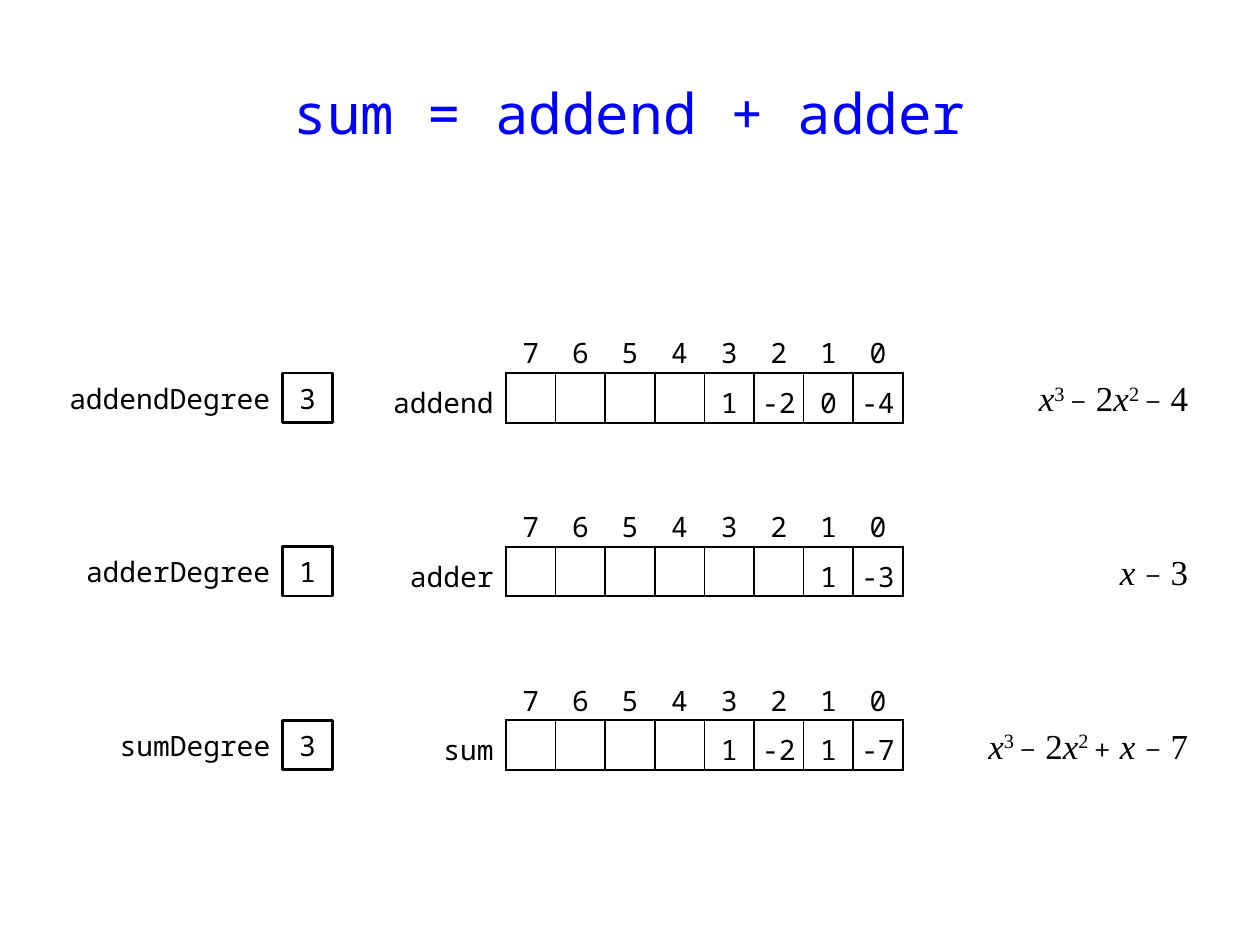
from lxml import etree
from pptx import Presentation
from pptx.dml.color import RGBColor
from pptx.enum.shapes import MSO_SHAPE
from pptx.enum.text import MSO_ANCHOR, PP_ALIGN
from pptx.oxml.ns import qn
from pptx.util import Cm, Pt

RECT = MSO_SHAPE.RECTANGLE
MID = MSO_ANCHOR.MIDDLE
CENTER, RIGHT = PP_ALIGN.CENTER, PP_ALIGN.RIGHT

COLORS = {"ink": "000000", "title": "0000FF", "paper": "FFFFFF"}
# style: font, size, colour, italic, raised by percent
STYLES = {
    "title": ("Noto Sans Mono", 32, "title", False, 0),
    "code": ("Noto Sans Mono", 16, "ink", False, 0),
    "var": ("Times New Roman", 20, "ink", True, 0),
    "num": ("Times New Roman", 20, "ink", False, 0),
    "pow": ("Times New Roman", 20, "ink", False, 30),
    "op": ("Cambria", 18, "ink", False, 0),
}

# The grid is one centimetre; each box and array cell is one unit square.
UNIT = 1
SIZE = 8
PAD = 0.25
TOP, STEP = 6.52, 3.5
BOX_X, TABLE_X, END_X = 5.7, 7.7, 24.2
NAME_W = 2.5

CUBE = [("x", "var"), ("3 ", "pow"), ("−", "op"), (" 2", "num"),
        ("x", "var"), ("2 ", "pow")]
# name, degree, coefficients from the highest power down, label width,
# formula width, formula
ROWS = [
    ("addend", 3, [1, -2, 0, -4], 5, 4,
     CUBE + [("−", "op"), (" 4", "num")]),
    ("adder", 1, [1, -3], 4.5, 2.5,
     [("x ", "var"), ("−", "op"), (" 3", "num")]),
    ("sum", 3, [1, -2, 1, -7], 4, 5.5,
     CUBE + [("+", "op"), (" ", "num"), ("x ", "var"),
             ("−", "op"), (" 7", "num")]),
]


def write(item, runs, align, left=0, right=0):
    """Fill a shape or a table cell with styled runs, centred vertically."""
    frame = item.text_frame
    frame.margin_left, frame.margin_right = Cm(left), Cm(right)
    frame.margin_top = frame.margin_bottom = 0
    frame.word_wrap = True
    frame.vertical_anchor = MID
    par = frame.paragraphs[0]
    par.alignment = align
    for text, style in runs:
        name, size, color, slant, lift = STYLES[style]
        run = par.add_run()
        run.text = text
        run.font.name, run.font.size = name, Pt(size)
        run.font.italic = slant
        run.font.color.rgb = RGBColor.from_string(COLORS[color])
        if lift:
            run.font._element.set("baseline", str(lift * 1000))
    return par


def edge(cell, widths):
    """Draw cell borders; widths are points for left, right, top, bottom."""
    props = cell._tc.get_or_add_tcPr()
    for side, width in zip("LRTB", widths):
        line = etree.SubElement(props, qn("a:ln" + side), w=str(Pt(width)))
        if width:
            fill = etree.SubElement(line, qn("a:solidFill"))
            etree.SubElement(fill, qn("a:srgbClr"), val=COLORS["ink"])
        else:
            etree.SubElement(line, qn("a:noFill"))


deck = Presentation()
deck.slide_width, deck.slide_height = Cm(25.4), Cm(19.05)
slide = deck.slides.add_slide(deck.slide_layouts[6])
shapes = slide.shapes

title = shapes.add_textbox(Cm(1.2), Cm(1.02), Cm(23), Cm(2.5))
write(title, [("sum = addend + adder", "title")], CENTER, PAD, PAD)

for i, (name, degree, terms, label_w, form_w, form) in enumerate(ROWS):
    top = TOP + i * STEP
    mid = top + UNIT

    # Degree variable: label and box
    label = shapes.add_textbox(Cm(BOX_X - label_w), Cm(mid),
                               Cm(label_w), Cm(UNIT))
    write(label, [(name + "Degree", "code")], RIGHT, PAD, PAD)
    box = shapes.add_shape(RECT, Cm(BOX_X), Cm(mid), Cm(UNIT), Cm(UNIT))
    box.shadow.inherit = False
    box.fill.solid()
    box.fill.fore_color.rgb = RGBColor.from_string(COLORS["paper"])
    box.line.color.rgb = RGBColor.from_string(COLORS["ink"])
    box.line.width = Pt(1.5)
    write(box, [(str(degree), "code")], CENTER)

    # Array: a row of indices over a row of coefficients
    frame = shapes.add_table(2, SIZE + 1, Cm(TABLE_X), Cm(top),
                             Cm(NAME_W + SIZE * UNIT), Cm(2 * UNIT))
    table = frame.table
    table.first_row = table.horz_banding = False
    for row in table.rows:
        row.height = Cm(UNIT)
    for c, col in enumerate(table.columns):
        col.width = Cm(UNIT if c else NAME_W)
    heads = [""] + [str(SIZE - 1 - c) for c in range(SIZE)]
    blanks = [""] * (SIZE - len(terms))
    values = [name] + blanks + [str(term) for term in terms]
    for r, texts in enumerate([heads, values]):
        for c, text in enumerate(texts):
            cell = table.cell(r, c)
            if c == 0:
                edge(cell, (0, 1.5 * r, 0, 0))
            elif r == 0:
                edge(cell, (0, 0, 0, 1.5))
            else:
                edge(cell, (1.5 if c == 1 else 1,
                            1.5 if c == SIZE else 1, 1.5, 1.5))
            cell.fill.background()
            cell.vertical_anchor = MID
            cell.margin_left = cell.margin_top = cell.margin_bottom = 0
            cell.margin_right = 0 if c else Cm(PAD)
            if text:
                par = cell.text_frame.paragraphs[0]
                par.alignment = CENTER if c else RIGHT
                par.line_spacing = 1.25
                run = par.add_run()
                run.text = text
                run.font.name, run.font.size = STYLES["code"][0], Pt(16)
                run.font.color.rgb = RGBColor.from_string(COLORS["ink"])

    # Polynomial
    poly = shapes.add_textbox(Cm(END_X - form_w), Cm(mid),
                              Cm(form_w), Cm(UNIT))
    write(poly, form, RIGHT, PAD, PAD)

deck.save("out.pptx")
